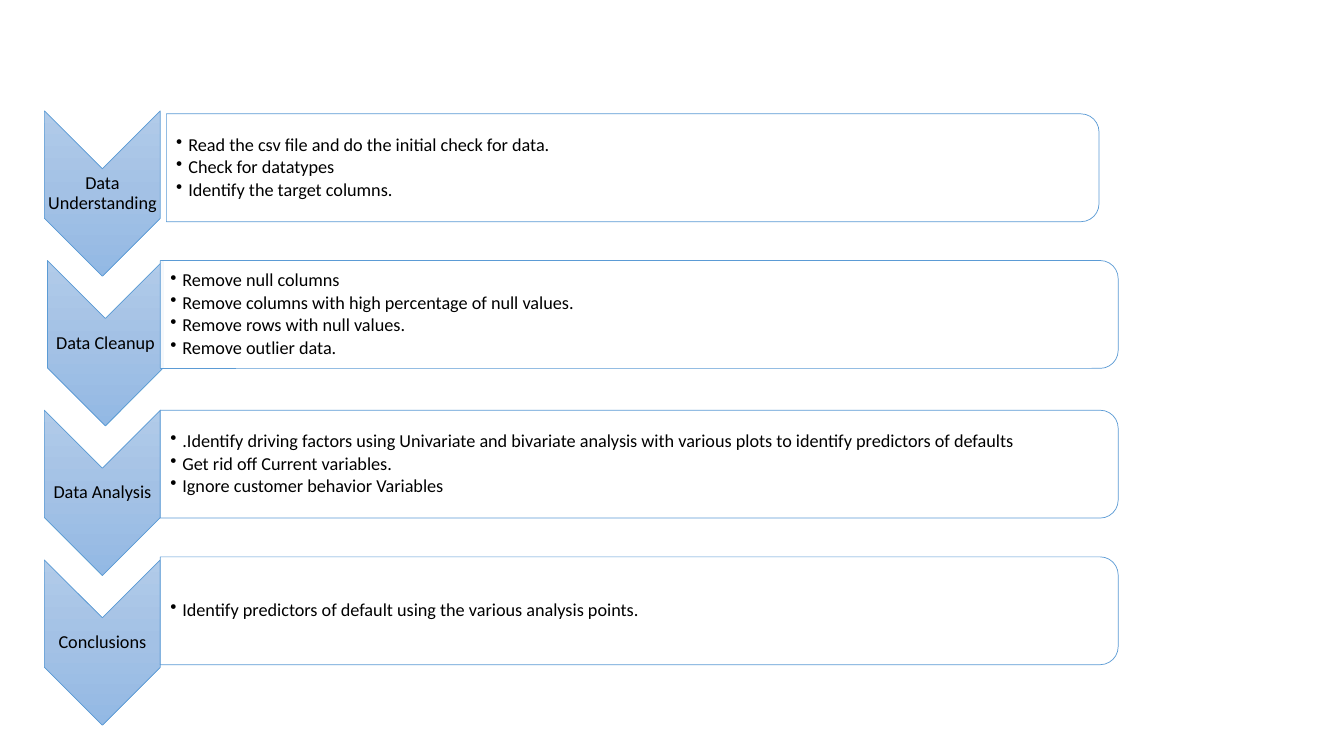
from lxml.etree import SubElement
from pptx import Presentation
from pptx.dml.color import RGBColor
from pptx.enum.shapes import MSO_SHAPE
from pptx.enum.text import MSO_ANCHOR, PP_ALIGN
from pptx.oxml import parse_xml
from pptx.oxml.ns import nsdecls, qn
from pptx.util import Inches, Pt

COLORS = {"line": "5B9BD5", "text": "000000", "panel": "FFFFFF"}
GRADIENT = {0: "B1CBE9", 50: "A3C1E5", 100: "93B9E4"}
FONT = "Calibri"

STEPS = [
    {"label": "Data Understanding", "shift": 0, "panel": (1.65, 0.03, 9.25),
     "points": ["Read the csv file and do the initial check for data.",
                "Check for datatypes",
                "Identify the target columns."]},
    {"label": "Data Cleanup", "shift": 0.03, "panel": (1.59, 0, 9.5),
     "points": ["Remove null columns",
                "Remove columns with high percentage of null values.",
                "Remove rows with null values.",
                "Remove outlier data."]},
    {"label": "Data Analysis", "shift": 0, "panel": (1.59, 0, 9.5),
     "points": [".Identify driving factors using Univariate and bivariate analysis "
                "with various plots to identify predictors of defaults",
                "Get rid off Current variables.",
                "Ignore customer behavior Variables"]},
    {"label": "Conclusions", "shift": 0, "panel": (1.59, -0.03, 9.5),
     "points": ["Identify predictors of default using the various analysis points."]},
]

FIRST_TOP, ROW_PITCH = 1.1, 1.485
CHEVRON_LEFT, CHEVRON_WIDTH, CHEVRON_HEIGHT = 0.44, 1.15, 1.64
LABEL_HEIGHT = CHEVRON_HEIGHT - CHEVRON_WIDTH
PANEL_HEIGHT, PANEL_INSET = 1.07, 0.05


def add_turned_shape(slide, kind, left, top, width, height):
    center_x, center_y = left + width / 2, top + height / 2
    shape = slide.shapes.add_shape(
        kind, Inches(center_x - height / 2), Inches(center_y - width / 2),
        Inches(height), Inches(width))
    shape.rotation = 90
    shape.shadow.inherit = False
    shape.line.color.rgb = RGBColor.from_string(COLORS["line"])
    shape.line.width = Pt(0.5)
    return shape


def fill_with_gradient(shape):
    stops = "".join(
        f'<a:gs pos="{position * 1000}"><a:srgbClr val="{color}"/></a:gs>'
        for position, color in GRADIENT.items())
    gradient = parse_xml(
        f'<a:gradFill {nsdecls("a")} rotWithShape="0"><a:gsLst>{stops}</a:gsLst>'
        '<a:lin ang="5400000" scaled="0"/></a:gradFill>')
    shape._element.spPr.find(qn("a:prstGeom")).addnext(gradient)


def fill_panel(shape):
    shape.fill.solid()
    shape.fill.fore_color.rgb = RGBColor.from_string(COLORS["panel"])
    color = shape._element.spPr.find(qn("a:solidFill"))[0]
    SubElement(color, qn("a:alpha"), val="90000")


def add_text(slide, box, lines, left_margin, space_after, bulleted):
    frame = slide.shapes.add_textbox(*map(Inches, box)).text_frame
    frame.word_wrap = True
    frame.vertical_anchor = MSO_ANCHOR.MIDDLE
    frame.margin_left = Inches(left_margin)
    frame.margin_top = frame.margin_right = frame.margin_bottom = Inches(0.01)
    for index, line in enumerate(lines):
        paragraph = frame.add_paragraph() if index else frame.paragraphs[0]
        paragraph.line_spacing = 0.9
        paragraph.space_after = Pt(space_after)
        if bulleted:
            paragraph.level = 1
            properties = paragraph._p.get_or_add_pPr()
            properties.set("marL", str(Inches(0.12)))
            properties.set("indent", str(-Inches(0.12)))
            SubElement(properties, qn("a:buChar"), char="•")
        else:
            paragraph.alignment = PP_ALIGN.CENTER
        run = paragraph.add_run()
        run.text = line
        run.font.name = FONT
        run.font.size = Pt(13)
        run.font.color.rgb = RGBColor.from_string(COLORS["text"])


def add_step(slide, row, step):
    top = FIRST_TOP + row * ROW_PITCH
    left = CHEVRON_LEFT + step["shift"]
    chevron = add_turned_shape(
        slide, MSO_SHAPE.CHEVRON, left, top, CHEVRON_WIDTH, CHEVRON_HEIGHT)
    fill_with_gradient(chevron)
    label_box = (left, top + CHEVRON_WIDTH / 2, CHEVRON_WIDTH, LABEL_HEIGHT)
    add_text(slide, label_box, [step["label"]], 0.01, 4.55, False)

    panel_left, offset, panel_width = step["panel"]
    panel_top = top + offset
    panel = add_turned_shape(
        slide, MSO_SHAPE.ROUND_2_SAME_RECTANGLE,
        panel_left, panel_top, panel_width, PANEL_HEIGHT)
    fill_panel(panel)
    points_box = (panel_left, panel_top + PANEL_INSET,
                  panel_width - PANEL_INSET, PANEL_HEIGHT - 2 * PANEL_INSET)
    add_text(slide, points_box, step["points"], 0.1, 1.95, True)


def main():
    presentation = Presentation()
    presentation.slide_width = Inches(13.33)
    presentation.slide_height = Inches(7.5)
    slide = presentation.slides.add_slide(presentation.slide_layouts[6])
    for row, step in enumerate(STEPS):
        add_step(slide, row, step)
    presentation.save("out.pptx")


if __name__ == "__main__":
    main()
